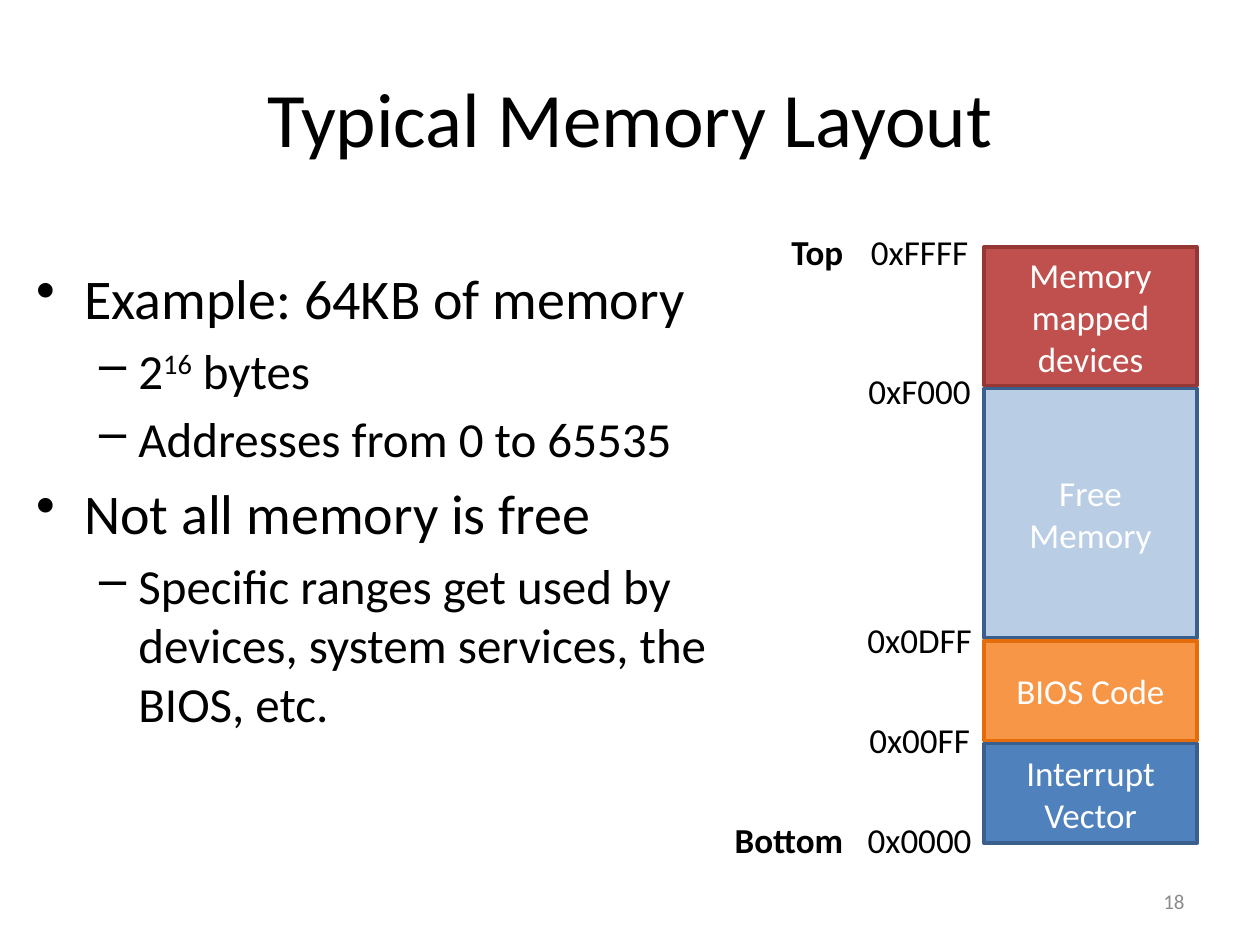
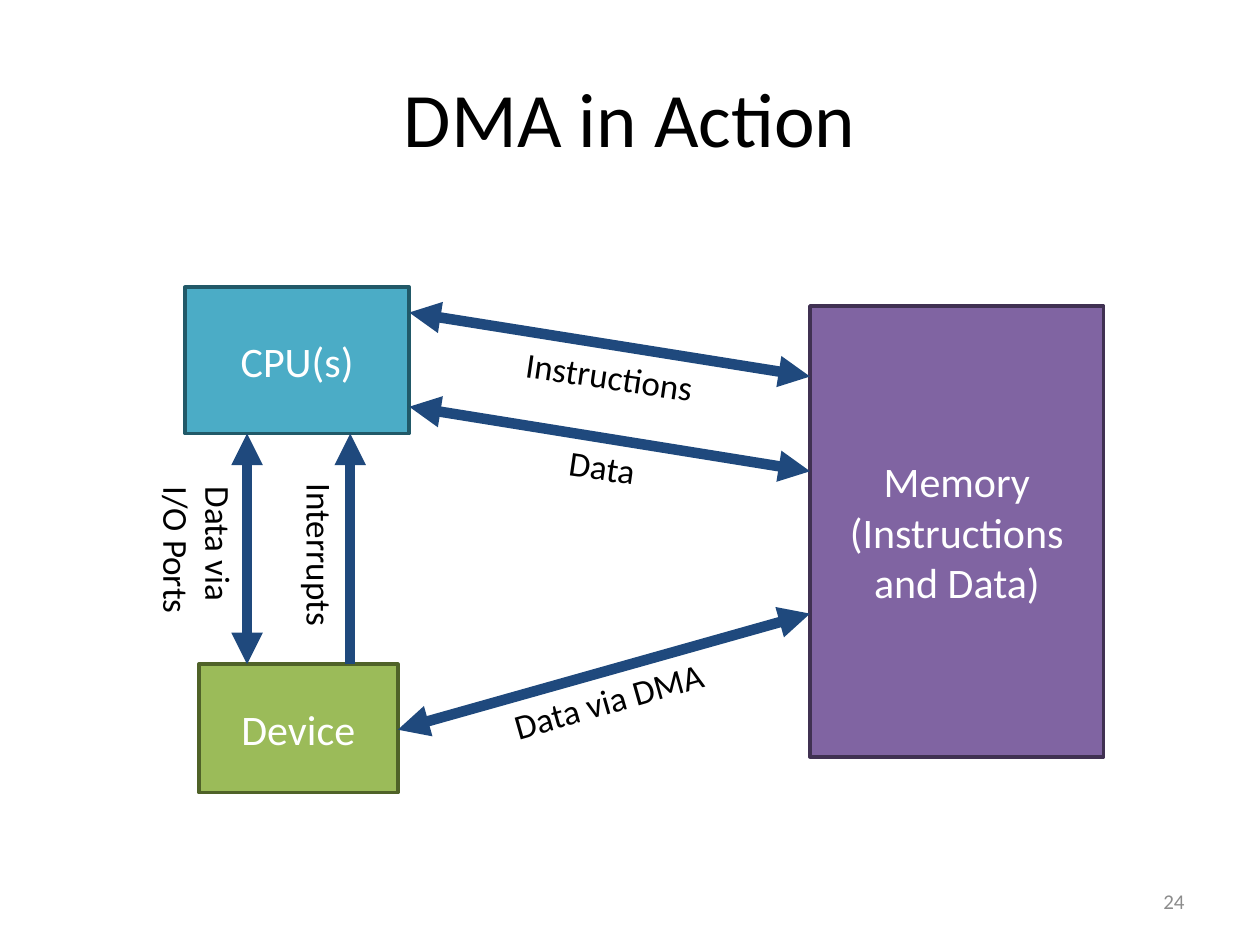
import dataclasses

import pptx
import pptx.dml.color
import pptx.enum.shapes
import pptx.enum.text
import pptx.oxml.ns
import pptx.oxml.xmlchemy
import pptx.util
from lxml import etree

Cm = pptx.util.Cm
Pt = pptx.util.Pt
ALIGN = pptx.enum.text.PP_ALIGN
ANCHOR = pptx.enum.text.MSO_ANCHOR
qn = pptx.oxml.ns.qn


@dataclasses.dataclass(frozen=True)
class Theme:
    font: str = "Calibri"
    ink: str = "000000"
    on_fill: str = "FFFFFF"
    muted: str = "8C8C8C"
    arrow: str = "1F497D"
    red: tuple = ("C0504D", "953735")
    pale: tuple = ("B9CDE5", "3A5F8C")
    orange: tuple = ("F79646", "E46C0A")
    blue: tuple = ("4F81BD", "3A5F8C")
    green: tuple = ("9BBB59", "4F6228")
    purple: tuple = ("8064A2", "403152")
    teal: tuple = ("4BACC6", "215968")
    title: int = 44
    levels: tuple = (32, 28)
    block: int = 24
    label: int = 20
    number: int = 12
    outline: int = 2
    arrow_width: int = 6


THEME = Theme()

# Content; all lengths are in centimetres
LAYOUT_TITLE, LAYOUT_NUMBER = "Typical Memory Layout", "18"
SUPERSCRIPT = "^"
POINTS = [
    (0, ["Example: 64KB of memory"]),
    (1, ["2", "^16", " bytes"]),
    (1, ["Addresses from 0 to 65535"]),
    (0, ["Not all memory is free"]),
    (1, ["Specific ranges get used by devices, system services, the BIOS, etc."]),
]
REGIONS = [  # name, colours, height, address at its upper edge
    ("Memory mapped devices", THEME.red, 2.79, "0xFFFF"),
    ("Free Memory", THEME.pale, 5.03, "0xF000"),
    ("BIOS Code", THEME.orange, 2.01, "0x0DFF"),
    ("Interrupt Vector", THEME.blue, 2.01, "0x00FF"),
]
LOWEST_ADDRESS = "0x0000"
TOP_NAME, BOTTOM_NAME = "Top", "Bottom"

DMA_TITLE, DMA_NUMBER = "DMA in Action", "24"
BLOCKS = {  # text, colours, (left, top, width, height)
    "device": ("Device", THEME.green, (4.01, 13.39, 4.01, 2.59)),
    "memory": ("Memory\n(Instructions and Data)", THEME.purple, (16.33, 6.17, 5.92, 9.09)),
    "cpu": ("CPU(s)", THEME.teal, (3.73, 5.79, 4.52, 2.95)),
}
MEMORY_LINKS = [  # text, block, y at block, y at memory, label centre, label width, tilt
    ("Instructions", "cpu", 6.3, 7.59, (12.31, 7.59), 3.94, 8.4),
    ("Data", "cpu", 8.2, 9.5, (12.15, 9.42), 1.85, 8.2),
    ("Data via DMA", "device", 14.71, 12.37, (12.29, 14.12), 4.47, -15.8),
]
DEVICE_LINKS = [  # text, x of arrow, both ways, label centre, label size
    ("Data via\nI/O Ports", 4.98, True, (3.99, 11.11), (3.1, 1.96)),
    ("Interrupts", 7.06, False, (6.45, 11.2), (3.4, 1.12)),
]

# Placement
TITLE_BOX = (1.27, 0.76, 22.86, 3.18)
NUMBER_BOX = (18.21, 17.65, 5.92, 1.02)
POINTS_BOX = (0.48, 5.18, 14.55, 11.38)
INDENTS = ((0.97, -0.97), (2.06, -0.79))
BULLETS = "•–"
COLUMN_LEFT, COLUMN_TOP, COLUMN_WIDTH, REGION_GAP = 19.84, 4.98, 4.29, 0.06
ADDRESS_CENTRE, FIRST_ADDRESS_Y, ADDRESS_WIDTH = 18.54, 5.09, 2.64
END_NAME_CENTRE, END_NAME_WIDTH = 15.88, 2.74
LINE_HEIGHT = 1.12


def rgb(value):
    return pptx.dml.color.RGBColor.from_string(value)


def style(frame, size, color, align=ALIGN.LEFT, bold=False):
    for paragraph in frame.paragraphs:
        paragraph.alignment = align
        for run in paragraph.runs:
            run.font.name = THEME.font
            run.font.size = Pt(size)
            run.font.bold = bold
            run.font.color.rgb = rgb(color)


def add_text(slide, box, text, size, color=THEME.ink, align=ALIGN.LEFT,
             bold=False, wrap=True, anchor=ANCHOR.TOP):
    shape = slide.shapes.add_textbox(*map(Cm, box))
    frame = shape.text_frame
    frame.word_wrap = wrap
    frame.vertical_anchor = anchor
    frame.text = text
    style(frame, size, color, align, bold)
    return shape


def add_label(slide, centre, size, text, tilt=0, align=ALIGN.LEFT, bold=False):
    """Place unwrapped text by its centre, turned by tilt degrees."""
    (x, y), (width, height) = centre, size
    box = (x - width / 2, y - height / 2, width, height)
    label = add_text(slide, box, text, THEME.label, align=align, bold=bold, wrap=False)
    label.rotation = tilt


def add_block(slide, box, text, colors, size):
    shape = slide.shapes.add_shape(
        pptx.enum.shapes.MSO_SHAPE.RECTANGLE, *map(Cm, box))
    fill, outline = colors
    shape.shadow.inherit = False
    shape.fill.solid()
    shape.fill.fore_color.rgb = rgb(fill)
    shape.line.color.rgb = rgb(outline)
    shape.line.width = Pt(THEME.outline)
    frame = shape.text_frame
    frame.word_wrap = True
    frame.vertical_anchor = ANCHOR.MIDDLE
    frame.text = text
    style(frame, size, THEME.on_fill, ALIGN.CENTER)


def add_arrow(slide, start, end, both_ways=True):
    arrow = slide.shapes.add_connector(
        pptx.enum.shapes.MSO_CONNECTOR.STRAIGHT, *map(Cm, start + end))
    arrow.line.color.rgb = rgb(THEME.arrow)
    arrow.line.width = Pt(THEME.arrow_width)
    properties = arrow.element.find(qn("p:spPr"))
    line = properties.find(qn("a:ln"))
    for tip in ("a:headEnd", "a:tailEnd") if both_ways else ("a:tailEnd",):
        etree.SubElement(line, qn(tip), type="triangle")
    etree.SubElement(properties, qn("a:effectLst"))


def add_points(slide):
    frame = add_text(slide, POINTS_BOX, "", THEME.levels[0]).text_frame
    for index, (level, pieces) in enumerate(POINTS):
        paragraph = frame.add_paragraph() if index else frame.paragraphs[0]
        size = THEME.levels[level]
        paragraph.level = level
        paragraph.space_before = Pt(size * 0.2)
        for piece in pieces:
            run = paragraph.add_run()
            run.text = piece.lstrip(SUPERSCRIPT)
            run.font.name = THEME.font
            run.font.size = Pt(size)
            run.font.color.rgb = rgb(THEME.ink)
            if piece.startswith(SUPERSCRIPT):
                run._r.get_or_add_rPr().set("baseline", "30000")
        properties = paragraph._p.get_or_add_pPr()
        for name, length in zip(("marL", "indent"), INDENTS[level]):
            properties.set(name, str(int(Cm(length))))
        etree.SubElement(properties, qn("a:buChar"), char=BULLETS[level])


def add_titled_slide(deck, title, number):
    slide = deck.slides.add_slide(deck.slide_layouts[5])
    heading = slide.shapes.title
    heading.left, heading.top, heading.width, heading.height = map(Cm, TITLE_BOX)
    heading.text_frame.text = title
    heading.text_frame.vertical_anchor = ANCHOR.MIDDLE
    style(heading.text_frame, THEME.title, THEME.ink, ALIGN.CENTER)
    add_text(slide, NUMBER_BOX, number, THEME.number, THEME.muted,
             ALIGN.RIGHT, anchor=ANCHOR.MIDDLE)
    return slide


def add_address(slide, y, address):
    add_label(slide, (ADDRESS_CENTRE, y), (ADDRESS_WIDTH, LINE_HEIGHT),
              address, align=ALIGN.CENTER)


def build_memory_layout(deck):
    slide = add_titled_slide(deck, LAYOUT_TITLE, LAYOUT_NUMBER)
    add_points(slide)
    top, address_y = COLUMN_TOP, FIRST_ADDRESS_Y
    for name, colors, height, address in REGIONS:
        add_block(slide, (COLUMN_LEFT, top, COLUMN_WIDTH, height),
                  name, colors, THEME.label)
        add_address(slide, address_y, address)
        top += height + REGION_GAP
        address_y += height
    add_address(slide, address_y, LOWEST_ADDRESS)
    for name, y in ((TOP_NAME, FIRST_ADDRESS_Y), (BOTTOM_NAME, address_y)):
        add_label(slide, (END_NAME_CENTRE, y), (END_NAME_WIDTH, LINE_HEIGHT),
                  name, align=ALIGN.RIGHT, bold=True)


def build_dma(deck):
    slide = add_titled_slide(deck, DMA_TITLE, DMA_NUMBER)
    boxes = {}
    for key, (text, colors, box) in BLOCKS.items():
        boxes[key] = box
        add_block(slide, box, text, colors, THEME.block)

    memory_left = boxes["memory"][0]
    for text, key, block_y, memory_y, centre, width, tilt in MEMORY_LINKS:
        left, _, block_width, _ = boxes[key]
        add_arrow(slide, (left + block_width, block_y), (memory_left, memory_y))
        add_label(slide, centre, (width, LINE_HEIGHT), text, tilt)

    device_top = boxes["device"][1]
    cpu_bottom = boxes["cpu"][1] + boxes["cpu"][3]
    for text, x, both_ways, centre, size in DEVICE_LINKS:
        add_arrow(slide, (x, device_top), (x, cpu_bottom), both_ways)
        add_label(slide, centre, size, text, 90)


def main():
    deck = pptx.Presentation()
    deck.slide_width, deck.slide_height = Cm(25.4), Cm(19.05)
    build_memory_layout(deck)
    build_dma(deck)
    deck.save("out.pptx")


if __name__ == "__main__":
    main()
